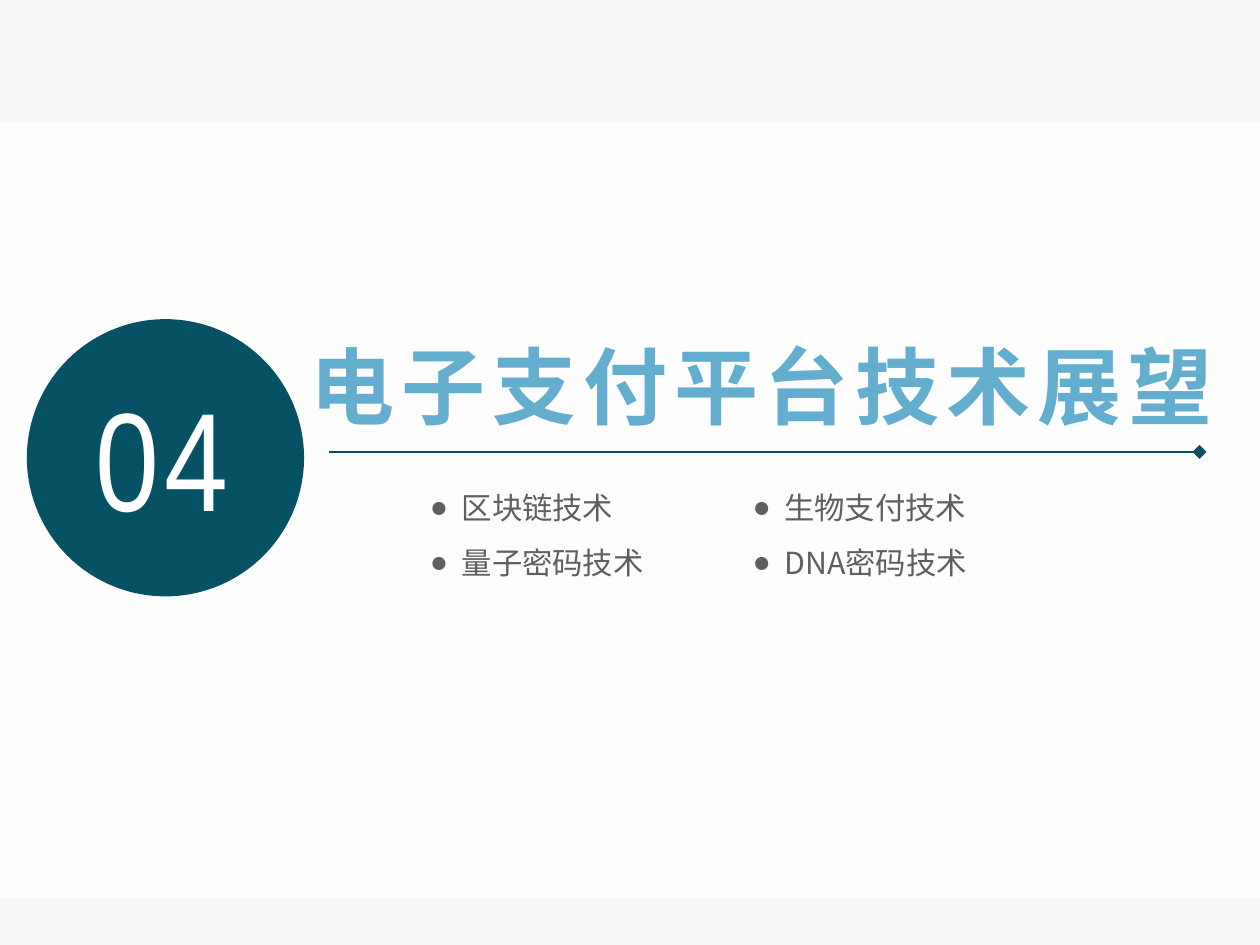
from lxml import etree
from pptx import Presentation
from pptx.dml.color import RGBColor
from pptx.enum.shapes import MSO_CONNECTOR, MSO_SHAPE
from pptx.oxml.ns import qn
from pptx.util import Inches, Pt

RECTANGLE = MSO_SHAPE.RECTANGLE
OVAL = MSO_SHAPE.OVAL
STRAIGHT = MSO_CONNECTOR.STRAIGHT

PAGE_WIDTH = 7.5
PAGE_HEIGHT = PAGE_WIDTH * 3 / 4
CJK_FONT, NUMBER_FONT, BULLET_FONT = "Noto Sans CJK SC", "Arial Narrow", "Arial"
TEAL, SKY, GREY, WHITE, PALE = "075165", "63AECE", "5F5F5F", "FFFFFF", "F8F8F8"

TOPIC_COLUMNS = [["区块链技术", "量子密码技术"], ["生物支付技术", "DNA密码技术"]]
TOPIC_LEFT, TOPIC_TOP = 2.56, 2.91
COLUMN_STEP, ROW_STEP = 1.92, 0.33
TOPIC_INDENT = 0.19


def colour(value):
    """Turn a hex string into a colour."""
    return RGBColor.from_string(value)


def add_child(parent, tag, **attributes):
    """Append an XML element with its attributes."""
    return etree.SubElement(parent, qn(tag), attributes)


def add_filled(page, kind, frame, fill):
    """Add a preset shape with a plain fill and no line."""
    shape = page.shapes.add_shape(kind, *map(Inches, frame))
    shape.shadow.inherit = False
    shape.fill.solid()
    shape.fill.fore_color.rgb = colour(fill)
    shape.line.fill.background()
    return shape


def add_band(page, top, height, opacity):
    """Add the translucent white band across the page."""
    band = add_filled(page, RECTANGLE, (0, top, PAGE_WIDTH, height), WHITE)
    tint = band.fill._xPr.find(qn("a:solidFill"))[0]
    add_child(tint, "a:alpha", val=str(opacity * 1000))


def add_text(page, frame, text, size, font, ink, bold=False, spacing=0, wrap=True):
    """Add a text box with one run and return the box."""
    box = page.shapes.add_textbox(*map(Inches, frame))
    box.text_frame.word_wrap = wrap
    span = box.text_frame.paragraphs[0].add_run()
    span.text = text
    span.font.size = Pt(size)
    span.font.bold = bold
    span.font.color.rgb = colour(ink)
    span.font.name = font
    properties = span._r.get_or_add_rPr()
    properties.set("spc", str(round(spacing * 100)))
    add_child(properties, "a:ea", typeface=font)
    return box


def add_topic(page, left, top, text):
    """Add one bulleted topic."""
    box = add_text(page, (left, top, 2.2, 0.22), text, 13, CJK_FONT, GREY)
    frame = box.text_frame
    frame.margin_left = frame.margin_right = 0
    frame.margin_top = frame.margin_bottom = 0
    properties = frame.paragraphs[0]._p.get_or_add_pPr()
    properties.set("marL", str(Inches(TOPIC_INDENT)))
    properties.set("indent", str(-Inches(TOPIC_INDENT)))
    add_child(properties, "a:buFont", typeface=BULLET_FONT)
    add_child(properties, "a:buChar", char="●")


def add_rule(page, start, end, height):
    """Add the horizontal rule with a diamond at its end."""
    rule = page.shapes.add_connector(
        STRAIGHT, Inches(start), Inches(height), Inches(end), Inches(height))
    rule.line.color.rgb = colour(TEAL)
    rule.line.width = Pt(0.75)
    add_child(rule.line._get_or_add_ln(), "a:tailEnd", type="diamond")
    add_child(rule._element.spPr, "a:effectLst")


def main():
    """Build the section slide and save it."""
    deck = Presentation()
    deck.slide_width, deck.slide_height = Inches(PAGE_WIDTH), Inches(PAGE_HEIGHT)
    page = deck.slides.add_slide(deck.slide_layouts[6])
    page.background.fill.solid()
    page.background.fill.fore_color.rgb = colour(PALE)

    add_band(page, 0.73, 4.62, 79)
    add_text(page, (1.75, 1.94, 5.67, 0.71), "电子支付平台技术展望", 36,
             CJK_FONT, SKY, bold=True, spacing=3, wrap=False)
    add_rule(page, 1.96, 7.14, 2.69)
    for column, topics in enumerate(TOPIC_COLUMNS):
        for row, topic in enumerate(topics):
            add_topic(page, TOPIC_LEFT + column * COLUMN_STEP,
                      TOPIC_TOP + row * ROW_STEP, topic)
    add_filled(page, OVAL, (0.16, 1.9, 1.65, 1.65), TEAL)
    add_text(page, (0.47, 2.16, 1.19, 1.11), "04", 60, NUMBER_FONT, WHITE, spacing=2.2)
    deck.save("out.pptx")


if __name__ == "__main__":
    main()
